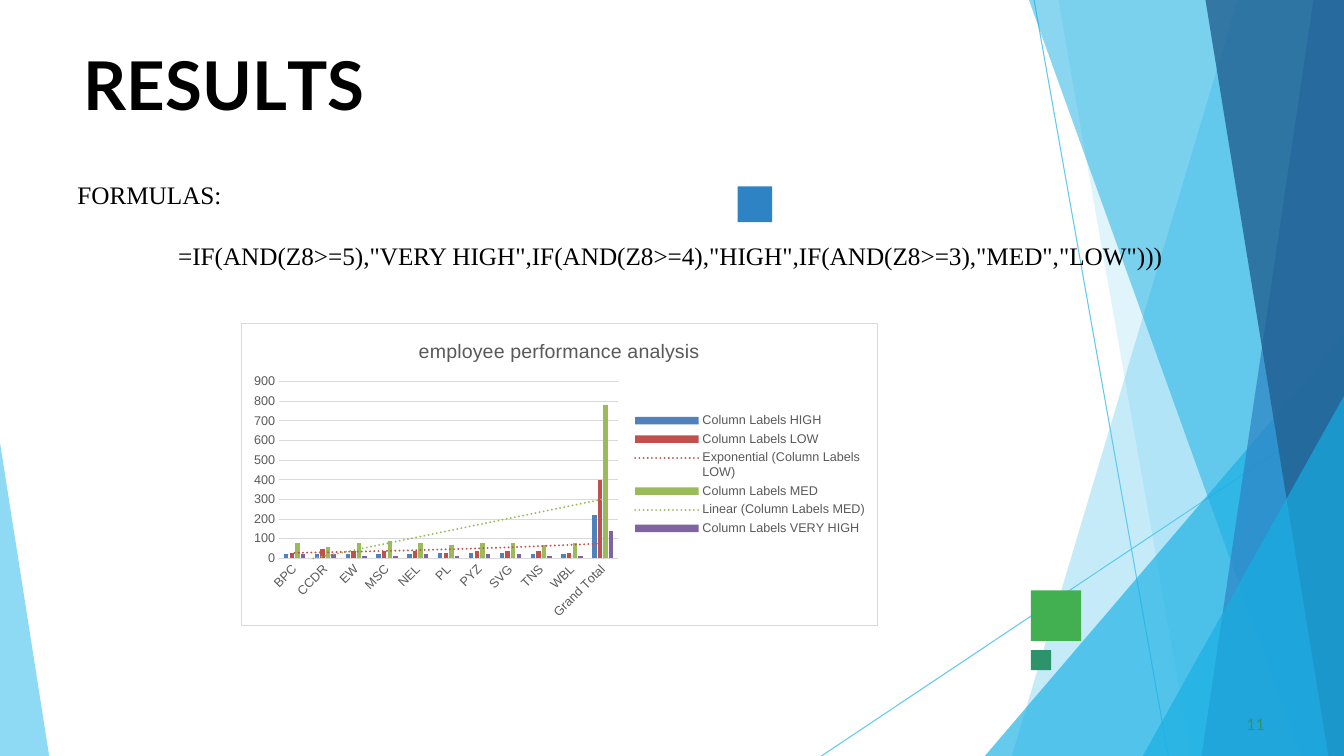
from lxml import etree
from pptx import Presentation
from pptx import util as u
from pptx.chart import data as cd
from pptx.dml import color as dc
from pptx.enum import chart as ec, shapes as es, text as et
from pptx.oxml import ns, parse_xml

WIDE, HIGH = 33.87, 19.05
HEX = {
    "black": "000000", "white": "FFFFFF", "gray": "595959", "rule": "D9D9D9",
    "sky": "5FCAEE", "cyan": "17AFE3", "blue": "2D83C3", "navy": "226192",
    "green": "42AF51", "teal": "2D936B",
    "high": "4F81BD", "low": "C0504D", "med": "9BBB59", "very": "8064A2",
}
SHARDS = [
    ([(WIDE, 0), (31.19, 0), (25.5, HIGH), (WIDE, HIGH)], "sky", 36),
    ([(WIDE, 0), (26.67, 0), (30.02, HIGH), (WIDE, HIGH)], "sky", 20),
    ([(WIDE, 8.46), (24.82, HIGH), (WIDE, HIGH)], "cyan", 66),
    ([(WIDE, 0), (25.93, 0), (32.79, HIGH), (WIDE, HIGH)], "cyan", 50),
    ([(WIDE, 0), (33.1, 0), (30.28, HIGH), (WIDE, HIGH)], "blue", 70),
    ([(WIDE, 0), (30.38, 0), (33.48, HIGH), (WIDE, HIGH)], "navy", 80),
    ([(WIDE, 9.98), (28.8, HIGH), (WIDE, HIGH)], "cyan", 66),
    ([(0, 11.15), (0, HIGH), (1.24, HIGH)], "sky", 70),
]
SQUARES = [
    (25.98, 14.88, 1.27, 1.27, "green"),
    (18.59, 4.7, 0.87, 0.9, "blue"),
    (25.98, 16.38, 0.51, 0.51, "teal"),
]
TEAMS = ["BPC", "CCDR", "EW", "MSC", "NEL", "PL", "PYZ", "SVG", "TNS", "WBL", "Grand Total"]
SERIES = [
    ("HIGH", [20, 20, 20, 20, 20, 30, 30, 30, 20, 20, 220], "high", None),
    ("LOW", [30, 50, 40, 40, 40, 30, 40, 40, 40, 30, 400], "low", "exp"),
    ("MED", [80, 60, 80, 90, 80, 70, 80, 80, 70, 80, 780], "med", "linear"),
    ("VERY HIGH", [20, 20, 10, 10, 20, 10, 20, 20, 10, 10, 140], "very", None),
]


def rgb(name):
    return dc.RGBColor.from_string(HEX[name])


def place(shape, left, top, wide, high):
    shape.left, shape.top = u.Cm(left), u.Cm(top)
    shape.width, shape.height = u.Cm(wide), u.Cm(high)


def paint(shape, name, alpha=100):
    shape.shadow.inherit = False
    shape.line.fill.background()
    shape.fill.solid()
    shape.fill.fore_color.rgb = rgb(name)
    if alpha < 100:
        tint = shape.fill._xPr.find(".//" + ns.qn("a:srgbClr"))
        etree.SubElement(tint, ns.qn("a:alpha")).set("val", str(alpha * 1000))


def shard(slide, points, name, alpha):
    first, *rest = [(u.Cm(x), u.Cm(y)) for x, y in points]
    form = slide.shapes.build_freeform(*first)
    form.add_line_segments(rest, close=True)
    paint(form.convert_to_shape(), name, alpha)


def thread(slide, *ends):
    line = slide.shapes.add_connector(es.MSO_CONNECTOR.STRAIGHT, *map(u.Cm, ends))
    line.line.color.rgb = rgb("sky")
    line.line.width = u.Pt(0.75)
    etree.SubElement(line._element.spPr, ns.qn("a:effectLst"))


def square(slide, left, top, wide, high, name):
    box = slide.shapes.add_shape(es.MSO_SHAPE.RECTANGLE, *map(u.Cm, (left, top, wide, high)))
    paint(box, name)


def style(font, size, name, face=None, bold=None):
    font.size, font.bold = u.Pt(size), bold
    font.color.rgb = rgb(name)
    if face:
        font.name = face


def write(para, words, size, name, face, bold=None, gap=0):
    run = para.add_run()
    run.text = words
    style(run.font, size, name, face, bold)
    if gap:
        run._r.get_or_add_rPr().set("spc", str(gap))


def frame(shape, inset=None):
    body = shape.text_frame
    body.word_wrap = True
    body.auto_size = et.MSO_AUTO_SIZE.NONE
    body.vertical_anchor = et.MSO_ANCHOR.TOP
    if inset is not None:
        body.margin_left = body.margin_right = body.margin_bottom = 0
        body.margin_top = u.Cm(inset)
    return body


def head(slide):
    title = slide.shapes.title
    place(title, 2.11, 1.07, 29.67, 2.06)
    slide.shapes._spTree.append(title._element)
    para = frame(title, 0.03).paragraphs[0]
    para.alignment = et.PP_ALIGN.LEFT
    para.space_before = u.Pt(1)
    letters = [("R", 0), ("E", -40), ("S", 10), ("U", -30), ("L", -400), ("TS", 0)]
    for part, gap in letters:
        write(para, part, 48, "black", "Lato", True, gap)


def rules(slide):
    box = slide.shapes.add_textbox(*map(u.Cm, (1.7, 4.39, 30.48, 2.46)))
    body = frame(box)
    write(body.paragraphs[0], "FORMULAS:", 18, "black", "Times New Roman")
    para = body.add_paragraph()
    para.space_before = u.Pt(22)
    para._p.get_or_add_pPr().set("marL", str(u.Cm(2.54)))
    formula = '=IF(AND(Z8>=5),"VERY HIGH",IF(AND(Z8>=4),"HIGH",IF(AND(Z8>=3),"MED","LOW")))'
    write(para, formula, 18, "black", "Times New Roman")


def folio(slide):
    box = slide.shapes.add_textbox(*map(u.Cm, (31.32, 17.98, 0.64, 0.46)))
    para = frame(box, 0.03).paragraphs[0]
    para._p.get_or_add_pPr().set("marL", str(u.Cm(0.1)))
    write(para, "11", 11, "teal", "Lato", gap=10)


def trend(plot, name, kind):
    line = parse_xml(
        f'<c:trendline {ns.nsdecls("c", "a")}><c:spPr><a:ln w="19050" cap="rnd"><a:solidFill>'
        f'<a:srgbClr val="{HEX[name]}"/></a:solidFill><a:prstDash val="sysDot"/></a:ln></c:spPr>'
        f'<c:trendlineType val="{kind}"/><c:dispRSqr val="0"/><c:dispEq val="0"/></c:trendline>')
    plot._element.find(ns.qn("c:cat")).addprevious(line)


def rim(chart):
    space = chart._chartSpace
    look = parse_xml(
        f'<c:spPr {ns.nsdecls("c", "a")}><a:solidFill><a:srgbClr val="{HEX["white"]}"/></a:solidFill>'
        f'<a:ln w="9525"><a:solidFill><a:srgbClr val="{HEX["rule"]}"/></a:solidFill></a:ln></c:spPr>')
    space.find(ns.qn("c:chart")).addnext(look)


def graph(slide):
    data = cd.CategoryChartData()
    data.categories = TEAMS
    for label, vals, _, _ in SERIES:
        data.add_series(f"Column Labels {label}", vals)
    spot = map(u.Cm, (6.07, 8.13, 16.05, 7.65))
    chart = slide.shapes.add_chart(ec.XL_CHART_TYPE.COLUMN_CLUSTERED, *spot, data).chart
    rim(chart)
    style(chart.font, 10, "black", "Arial")
    chart.has_title = True
    para = chart.chart_title.text_frame.paragraphs[0]
    write(para, "employee performance analysis", 14, "gray", "Arial", False)
    chart.chart_title.include_in_layout = False
    chart.has_legend = True
    chart.legend.position = ec.XL_LEGEND_POSITION.RIGHT
    chart.legend.include_in_layout = False
    style(chart.legend.font, 9, "gray", "Arial")
    plot = chart.plots[0]
    plot.gap_width, plot.overlap, plot.vary_by_categories = 219, -27, False
    for bars, (_, _, name, kind) in zip(plot.series, SERIES):
        bars.format.fill.solid()
        bars.format.fill.fore_color.rgb = rgb(name)
        if kind:
            trend(bars, name, kind)
    cats, vals = chart.category_axis, chart.value_axis
    for axis in (cats, vals):
        axis.major_tick_mark = axis.minor_tick_mark = ec.XL_TICK_MARK.NONE
        style(axis.tick_labels.font, 9, "gray", "Arial")
    vals.format.line.fill.background()
    for line in (cats.format.line, vals.major_gridlines.format.line):
        line.color.rgb = rgb("rule")
        line.width = u.Pt(0.75)


def main():
    deck = Presentation()
    deck.slide_width, deck.slide_height = u.Cm(WIDE), u.Cm(HIGH)
    slide = deck.slides.add_slide(deck.slide_layouts[5])
    thread(slide, 26.06, 0, 29.44, HIGH)
    thread(slide, WIDE, 10.26, 20.7, HIGH)
    for item in SHARDS:
        shard(slide, *item)
    for item in SQUARES:
        square(slide, *item)
    head(slide)
    rules(slide)
    folio(slide)
    graph(slide)
    deck.save("out.pptx")


if __name__ == "__main__":
    main()
